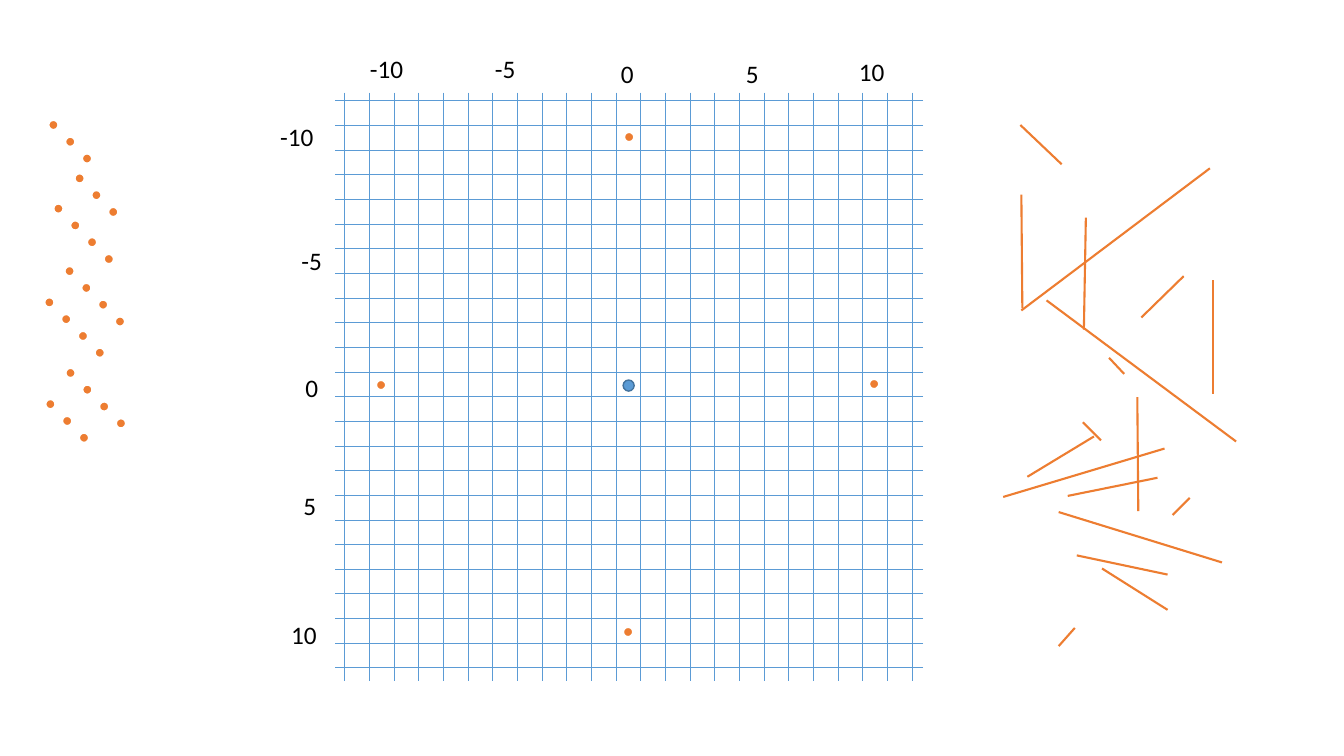
from lxml.etree import SubElement
from pptx import Presentation
from pptx.dml.color import RGBColor
from pptx.enum.shapes import MSO_CONNECTOR, MSO_SHAPE
from pptx.enum.text import MSO_AUTO_SIZE
from pptx.oxml.ns import qn
from pptx.util import Inches, Pt

BLUE, DARK_BLUE, ORANGE = "5B9BD5", "43739E", "ED7D31"
WHITE, BLACK = "FFFFFF", "000000"

GRID_LINES = 24
GRID_LEFT, GRID_TOP, GRID_SPAN = 3.42, 1.0, 5.625
GRID_PITCH = GRID_SPAN / (GRID_LINES - 1)
RULE_LEFT, RULE_TOP, RULE_LENGTH = 3.32, 0.92, 5.835

# text, left, top, width
COLUMN_LABELS = [("-10", 3.57, 0.48, 0.54), ("-5", 4.81, 0.48, 0.41),
                 ("0", 6.06, 0.53, 0.33), ("5", 7.3, 0.53, 0.33),
                 ("10", 8.42, 0.51, 0.46)]
ROW_LABELS = [("-10", 2.68, 1.15, 0.54), ("-5", 2.89, 2.38, 0.41),
              ("0", 2.93, 3.64, 0.33), ("5", 2.91, 4.82, 0.33),
              ("10", 2.79, 6.09, 0.46)]

POINT_SIZE, ORIGIN_SIZE = 0.1, 0.11
AXIS_POINTS = [(6.19, 1.31), (8.62, 3.76), (6.18, 6.22), (3.73, 3.77)]
# Diagonal rows of spare points: left, top, count
SPARE_ROWS = [(0.48, 1.19, 3), (0.74, 1.72, 3), (0.53, 2.02, 4),
              (0.64, 2.64, 4), (0.44, 2.95, 4), (0.65, 3.65, 4),
              (0.45, 3.96, 3)]
SPARE_STEP = 1 / 6

# Spare segments: x1, y1, x2, y2
SPARE_SEGMENTS = [
    (11.74, 2.74, 11.32, 3.15), (10.77, 2.16, 10.75, 3.27),
    (10.13, 1.93, 10.14, 3.06), (10.12, 1.24, 10.53, 1.63),
    (12, 1.67, 10.13, 3.08), (10.38, 2.98, 12.26, 4.38),
    (11.55, 4.45, 9.95, 4.93), (10.5, 5.08, 12.12, 5.58),
    (11, 3.55, 11.15, 3.71), (11.8, 4.94, 11.63, 5.11),
    (12.03, 2.78, 12.03, 3.91), (11.28, 3.94, 11.29, 5.07),
    (10.85, 4.33, 10.19, 4.73), (11.58, 6.05, 10.93, 5.64),
    (11.48, 4.74, 10.59, 4.92), (10.68, 5.51, 11.58, 5.7),
    (10.74, 4.19, 10.92, 4.37), (10.5, 6.41, 10.66, 6.23),
]


def rgb(value):
    return RGBColor.from_string(value)


class Board:
    """Draws styled elements on one slide, or in a group on it."""

    font_name = "Calibri"
    font_size = Pt(18)

    def __init__(self, slide):
        self.shapes = slide.shapes

    def label(self, text, left, top, width):
        box = self.shapes.add_textbox(Inches(left), Inches(top),
                                      Inches(width), Inches(0.4))
        frame = box.text_frame
        frame.word_wrap = False
        frame.auto_size = MSO_AUTO_SIZE.SHAPE_TO_FIT_TEXT
        frame.text = text
        font = frame.paragraphs[0].font
        font.name, font.size = self.font_name, self.font_size
        font.color.rgb = rgb(BLACK)

    def segment(self, x1, y1, x2, y2, color, weight, parent=None):
        segment = (parent or self.shapes).add_connector(
            MSO_CONNECTOR.STRAIGHT,
            Inches(x1), Inches(y1), Inches(x2), Inches(y2))
        segment.line.color.rgb = rgb(color)
        segment.line.width = Pt(weight)
        SubElement(segment._element.spPr, qn("a:effectLst"))

    def point(self, left, top, size=POINT_SIZE, fill=ORANGE, outline=WHITE,
              weight=1.5, parent=None):
        point = (parent or self.shapes).add_shape(
            MSO_SHAPE.OVAL, Inches(left), Inches(top),
            Inches(size), Inches(size))
        point.shadow.inherit = False
        point.fill.solid()
        point.fill.fore_color.rgb = rgb(fill)
        point.line.color.rgb = rgb(outline)
        point.line.width = Pt(weight)

    def grid(self):
        """Groups the ruled lines with the point at the origin."""
        parts = self.shapes.add_group_shape().shapes
        for i in range(GRID_LINES):
            x = GRID_LEFT + i * GRID_PITCH
            self.segment(x, RULE_TOP, x, RULE_TOP + RULE_LENGTH,
                         BLUE, 0.5, parts)
        for i in range(GRID_LINES):
            y = GRID_TOP + i * GRID_PITCH
            self.segment(RULE_LEFT + RULE_LENGTH, y, RULE_LEFT, y,
                         BLUE, 0.5, parts)
        self.point(6.18, 3.77, ORIGIN_SIZE, BLUE, DARK_BLUE, 1, parts)


def main():
    presentation = Presentation()
    presentation.slide_width = Inches(13.33)
    presentation.slide_height = Inches(7.5)
    blank_layout = presentation.slide_layouts[6]
    board = Board(presentation.slides.add_slide(blank_layout))

    for label in COLUMN_LABELS + ROW_LABELS:
        board.label(*label)
    board.grid()
    for left, top in AXIS_POINTS:
        board.point(left, top)
    for left, top, count in SPARE_ROWS:
        for i in range(count):
            board.point(left + i * SPARE_STEP, top + i * SPARE_STEP)
    for ends in SPARE_SEGMENTS:
        board.segment(*ends, ORANGE, 1.5)

    presentation.save("out.pptx")


if __name__ == "__main__":
    main()
